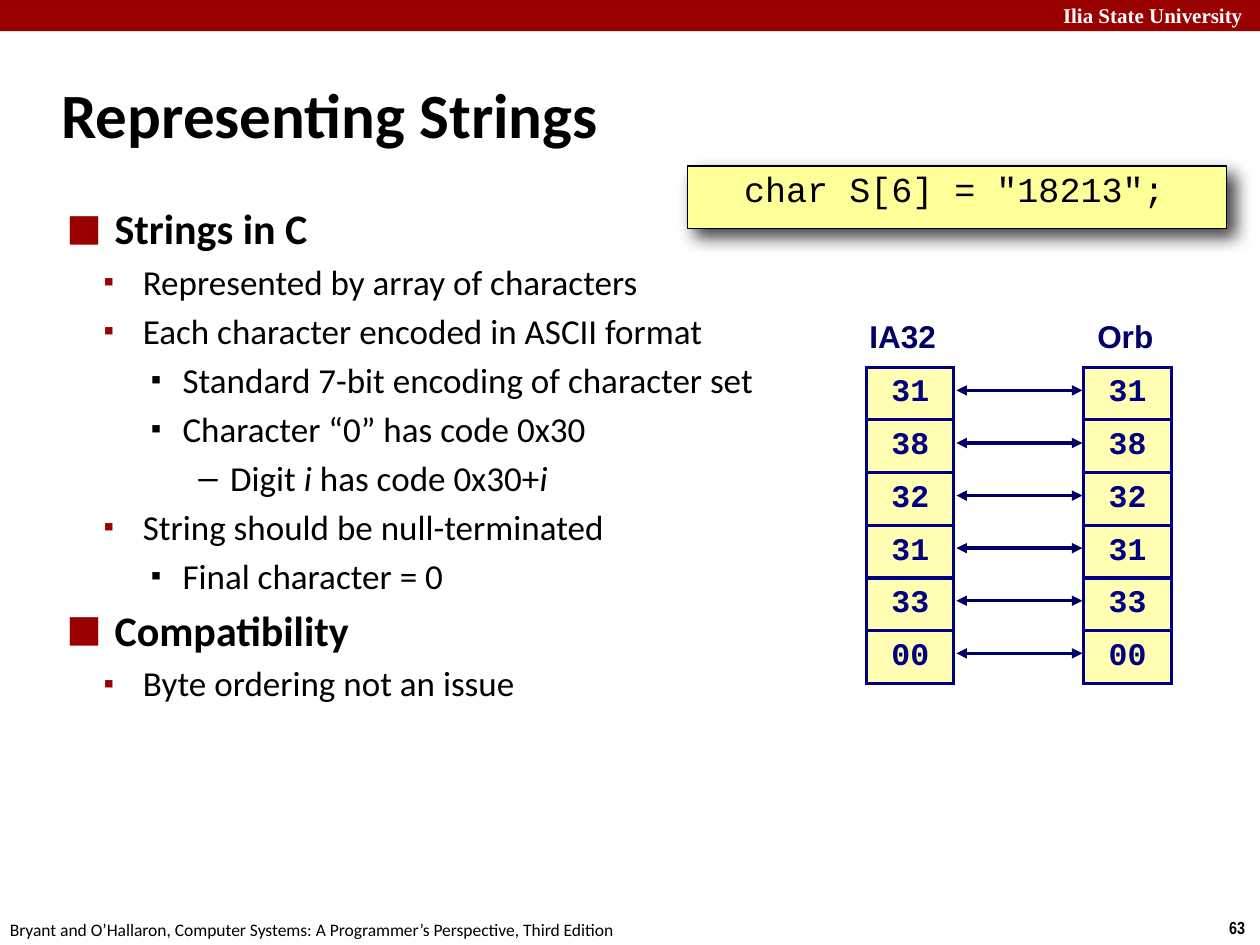
from lxml import etree
from pptx import Presentation
from pptx.dml.color import RGBColor
from pptx.enum import shapes, text
from pptx.oxml import parse_xml
from pptx.oxml.ns import nsdecls, qn
from pptx.util import Cm, Pt

RED = RGBColor(0x99, 0x00, 0x00)
WHITE = RGBColor(0xFF, 0xFF, 0xFF)
BLACK = RGBColor(0x00, 0x00, 0x00)
YELLOW = RGBColor(0xFF, 0xFF, 0x99)
CREAM = RGBColor(0xFF, 0xFE, 0xB2)
INK = RGBColor(0x00, 0x00, 0x66)
NAVY = RGBColor(0x00, 0x00, 0x80)
MID = text.PP_ALIGN.CENTER


def style(font, name, size, color, bold=False):
    font.name, font.size, font.bold = name, Pt(size), bold
    font.color.rgb = color


def label(words, x, y, w, h, name, size, color, bold=False):
    box = slide.shapes.add_textbox(Cm(x), Cm(y), Cm(w), Cm(h))
    box.text_frame.text = words
    style(box.text_frame.paragraphs[0].runs[0].font, name, size, color, bold)
    return box.text_frame


prs = Presentation()
prs.slide_width, prs.slide_height = Cm(25.4), Cm(19.05)
slide = prs.slides.add_slide(prs.slide_layouts[6])

# Header and footer
bar = slide.shapes.add_shape(shapes.MSO_SHAPE.RECTANGLE, 0, 0, Cm(25.4), Cm(0.63))
bar.shadow.inherit = False
bar.fill.solid()
bar.fill.fore_color.rgb = RED
bar.line.fill.background()
label("Ilia State University", 21.18, -0.08, 4.4, 0.77, "Times New Roman", 12, WHITE, True)
label("63", 24.53, 18.37, 0.87, 0.68, "Arial Narrow", 10, BLACK, True)
label("Bryant and O’Hallaron, Computer Systems: A Programmer’s Perspective, Third Edition",
      -0.05, 18.41, 12.9, 0.68, "Calibri", 10, BLACK)

# Code line
code = slide.shapes.add_shape(shapes.MSO_SHAPE.RECTANGLE, Cm(13.86), Cm(3.35), Cm(10.87), Cm(1.26))
code.fill.solid()
code.fill.fore_color.rgb = YELLOW
code.line.color.rgb = BLACK
code.line.width = Pt(0.75)
code.shadow.inherit = False
glow = code._element.spPr.find(qn("a:effectLst"))
glow.append(parse_xml(
    f'<a:outerShdw {nsdecls("a")} blurRad="{Pt(10)}" dist="{Pt(6)}" dir="2700000" algn="tl" '
    'rotWithShape="0"><a:srgbClr val="000000"><a:alpha val="75000"/></a:srgbClr></a:outerShdw>'))
frame = code.text_frame
frame.margin_left = frame.margin_top = frame.margin_bottom = Cm(0.08)
frame.margin_right = Cm(0.18)
frame.vertical_anchor = text.MSO_ANCHOR.TOP
frame.text = 'char S[6] = "18213";'
para = frame.paragraphs[0]
para.alignment, para.line_spacing = MID, 0.95
style(para.runs[0].font, "Courier New", 20, BLACK)

# Title
frame = label("Representing Strings", 0.99, 1.22, 21.08, 2.11, "Calibri", 36, BLACK, True)
frame.word_wrap = True
frame.vertical_anchor = text.MSO_ANCHOR.MIDDLE

# Outline: left margin, hang, bullet, bullet percent, bullet colour, text size
LEVELS = [(0.97, 0.97, "■", 140, RED, 24),
          (1.54, 0.79, "▪", 85, RED, 20),
          (2.34, 0.64, "▪", 85, BLACK, 20),
          (3.3, 0.64, "–", 100, BLACK, 20)]
# Every second piece of a line is italic
LINES = [(0, ["Strings in C"]),
         (1, ["Represented by array of characters"]),
         (1, ["Each character encoded in ASCII format"]),
         (2, ["Standard 7-bit encoding of character set"]),
         (2, ["Character “0” has code 0x30"]),
         (3, ["Digit ", "i", " has code 0x30+", "i"]),
         (1, ["String should be null-terminated"]),
         (2, ["Final character = 0"]),
         (0, ["Compatibility"]),
         (1, ["Byte ordering not an issue"])]
body = slide.shapes.add_textbox(Cm(1.09), Cm(3.96), Cm(21.95), Cm(13.82))
frame = body.text_frame
frame.word_wrap = True
for row, (level, parts) in enumerate(LINES):
    left, hang, mark, scale, color, size = LEVELS[level]
    para = frame.add_paragraph() if row else frame.paragraphs[0]
    props = para._p.get_or_add_pPr()
    props.set("marL", str(Cm(left)))
    props.set("indent", str(-Cm(hang)))
    tint = etree.SubElement(props, qn("a:buClr"))
    etree.SubElement(tint, qn("a:srgbClr"), val=str(color))
    etree.SubElement(props, qn("a:buSzPct"), val=str(scale * 1000))
    etree.SubElement(props, qn("a:buFont"), typeface="Arial")
    etree.SubElement(props, qn("a:buChar"), char=mark)
    para.level = level
    if row:
        para.space_before = Pt(4 if level else 4.8)
    for spot, part in enumerate(parts):
        run = para.add_run()
        run.text = part
        style(run.font, "Calibri", size, BLACK, level == 0)
        run.font.italic = spot % 2 == 1

# Byte columns
BYTES = ["31", "38", "32", "31", "33", "00"]
TOP, STEP, WIDE = 7.4, 1.06, 1.76
for name, x, w, start in [("IA32", 17.37, 1.75, 17.47), ("Orb", 21.92, 1.63, 21.85)]:
    frame = label(name, x, 6.24, w, 1.07, "Arial", 18, INK, True)
    frame.margin_left = frame.margin_top = frame.margin_bottom = Cm(0.15)
    frame.paragraphs[0].alignment = MID

    table = slide.shapes.add_table(len(BYTES), 1, Cm(start), Cm(TOP), Cm(WIDE),
                                   Cm(STEP * len(BYTES))).table
    table.first_row = table.horz_banding = False
    table.columns[0].width = Cm(WIDE)
    for row, byte in enumerate(BYTES):
        table.rows[row].height = Cm(STEP)
        cell = table.cell(row, 0)
        cell.text = byte
        cell.margin_left = cell.margin_right = Cm(0.15)
        cell.margin_top = cell.margin_bottom = Cm(0.15)
        cell.vertical_anchor = text.MSO_ANCHOR.MIDDLE
        para = cell.text_frame.paragraphs[0]
        para.alignment = MID
        style(para.runs[0].font, "Courier New", 18, NAVY, True)
        cell.fill.solid()
        cell.fill.fore_color.rgb = CREAM
        props = cell._tc.get_or_add_tcPr()
        for spot, side in enumerate(["lnL", "lnR", "lnT", "lnB"]):
            props.insert(spot, parse_xml(
                f'<a:{side} {nsdecls("a")} w="{Pt(2)}"><a:solidFill>'
                f'<a:srgbClr val="{NAVY}"/></a:solidFill></a:{side}>'))

# Arrows between matching bytes
for row in range(len(BYTES)):
    y = Cm(7.87 + STEP * row)
    arrow = slide.shapes.add_connector(shapes.MSO_CONNECTOR.STRAIGHT, Cm(19.28), y, Cm(21.82), y)
    arrow.line.color.rgb = INK
    arrow.line.width = Pt(2)
    line = arrow.line._get_or_add_ln()
    for end in ["headEnd", "tailEnd"]:
        etree.SubElement(line, qn(f"a:{end}"), type="triangle")
    etree.SubElement(arrow._element.spPr, qn("a:effectLst"))

prs.save("out.pptx")
